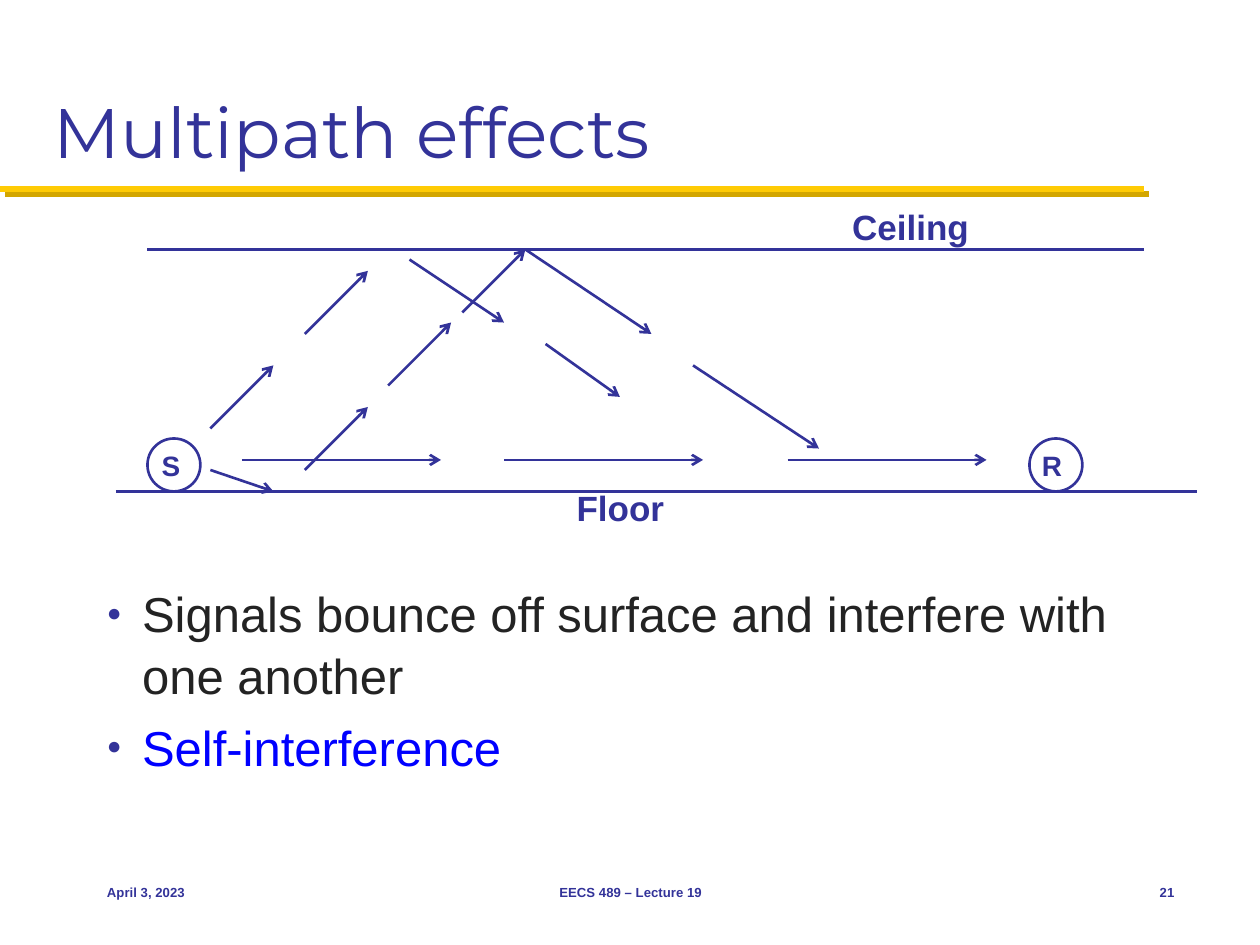
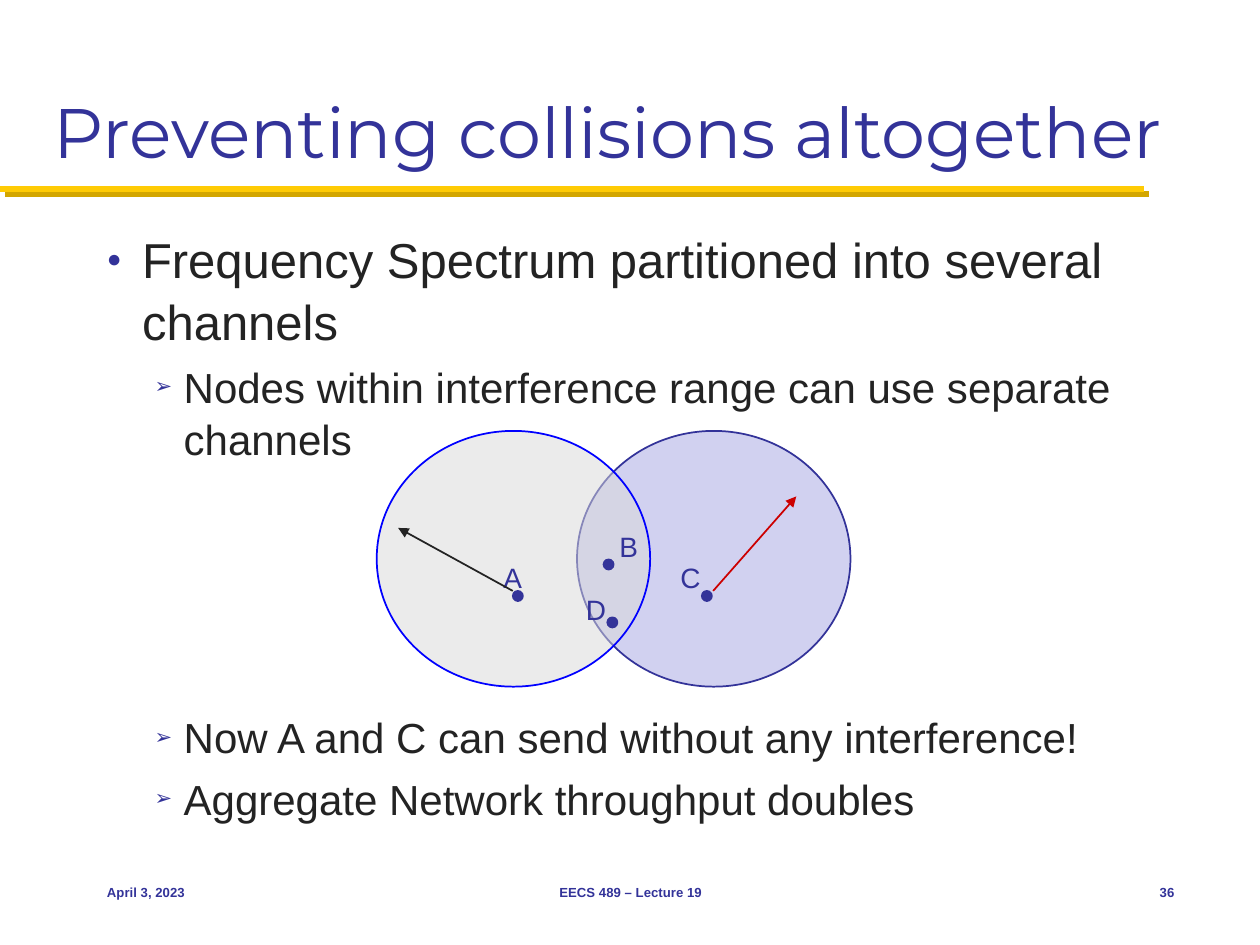
"""Build two wireless networking lecture slides: multipath effects and channel partitioning."""
from lxml.etree import SubElement
from pptx import Presentation
from pptx.dml.color import RGBColor
from pptx.enum.shapes import MSO_CONNECTOR as Connector, MSO_SHAPE as Shape
from pptx.enum.text import MSO_ANCHOR as Anchor, MSO_AUTO_SIZE as AutoSize, PP_ALIGN as Align
from pptx.oxml.ns import qn
from pptx.util import Inches, Pt

NAVY, INK, BLUE, RED = "333399", "232323", "0000FF", "CC0000"
GOLD, DARK_GOLD, LILAC, GREY = "FFCB05", "D3A600", "D1D1F0", "D9D9D9"
BODY_FONT, TITLE_FONT = "Arial", "Montserrat"
LEVELS = [
    {"size": 28, "bullet": "●", "margin": 0.28, "indent": 0.28},
    {"size": 24, "bullet": "➢", "margin": 0.61, "indent": 0.23},
]
FOOTER_DATE, FOOTER_COURSE = "April 3, 2023", "EECS 489 – Lecture 19"

MULTIPATH = {
    "title": "Multipath effects",
    "number": "21",
    "body_top": 4.56,
    "points": [
        {"text": "Signals bounce off surface and interfere with one another"},
        {"text": "Self-interference", "color": BLUE},
    ],
}
STATIONS = [("S", 1.17), ("R", 8.17)]
STATION_TOP, STATION_SIZE = 3.48, 0.42
CEILING, FLOOR, DIRECT = 1.98, 3.9, 3.65
SURFACES = [((0.92, FLOOR), (9.5, FLOOR)), ((1.17, CEILING), (9.08, CEILING))]
SURFACE_LABELS = [("Ceiling", (6.65, 1.58, 1.14, 0.44)), ("Floor", (4.47, 3.81, 0.9, 0.44))]
DIRECT_STARTS, DIRECT_LENGTH = [1.92, 4, 6.25], 1.58
RISING_STARTS, RISE = [(1.67, 3.4), (2.42, 2.65), (2.42, 3.73), (3.08, 3.06), (3.67, 2.48)], 0.5
FALLING_HOPS = [
    ((1.67, 3.73), (2.17, FLOOR)),
    ((3.25, 2.06), (4, 2.56)),
    ((4.33, 2.73), (4.92, 3.15)),
    ((4.17, CEILING), (5.17, 2.65)),
    ((5.5, 2.9), (6.5, 3.56)),
]

CHANNELS = {
    "title": "Preventing collisions altogether",
    "number": "36",
    "body_top": 1.75,
    "points": [
        {"text": "Frequency Spectrum partitioned into several channels"},
        {"text": "Nodes within interference range can use separate channels", "level": 1},
        {"text": "Now A and C can send without any interference!", "level": 1, "before": 140},
        {"text": "Aggregate Network throughput doubles", "level": 1},
    ],
}
RANGES = [(4.58, LILAC, NAVY, None), (2.99, GREY, BLUE, 50)]
RANGE_TOP, RANGE_WIDTH, RANGE_HEIGHT = 3.42, 2.17, 2.03
NODES = [
    ("A", (4.07, 4.69), (3.89, 4.4)),
    ("B", (4.79, 4.44), (4.81, 4.15)),
    ("C", (5.57, 4.69), (5.3, 4.4)),
    ("D", (4.82, 4.9), (4.55, 4.65)),
]
DOT_SIZE, NODE_LABEL_SIZE = 0.08, 0.36
RADII = [((5.66, 4.69), (6.32, 3.94), RED), ((4.07, 4.69), (3.16, 4.19), INK)]


def rgb(color):
    return RGBColor.from_string(color)


def style(paragraph, size, color=NAVY, bold=False, align=Align.LEFT, font=BODY_FONT):
    paragraph.alignment = align
    paragraph.font.name, paragraph.font.size = font, Pt(size)
    paragraph.font.bold, paragraph.font.color.rgb = bold, rgb(color)


def add_text(shapes, text, box, anchor=Anchor.TOP, grow=False, **font):
    shape = shapes.add_textbox(*map(Inches, box))
    frame = shape.text_frame
    frame.text = text
    frame.word_wrap = not grow
    frame.auto_size = AutoSize.SHAPE_TO_FIT_TEXT if grow else AutoSize.NONE
    frame.vertical_anchor = anchor
    style(frame.paragraphs[0], **font)


def add_line(shapes, start, end, color=NAVY, width=1.5, head=None):
    connector = shapes.add_connector(Connector.STRAIGHT, *map(Inches, (*start, *end)))
    connector.line.color.rgb = rgb(color)
    connector.line.width = Pt(width)
    properties = connector._element.spPr
    if head:
        SubElement(properties.find(qn("a:ln")), qn("a:tailEnd"), type=head)
    return SubElement(properties, qn("a:effectLst"))


def add_ellipse(shapes, box, fill=None, line=NAVY, width=1, alpha=None):
    shape = shapes.add_shape(Shape.OVAL, *map(Inches, box))
    shape.shadow.inherit = False
    shape.line.color.rgb, shape.line.width = rgb(line), Pt(width)
    if fill:
        shape.fill.solid()
        shape.fill.fore_color.rgb = rgb(fill)
    else:
        shape.fill.background()
    if alpha:
        color = shape._element.spPr.find(qn("a:solidFill"))[0]
        SubElement(color, qn("a:alpha"), val=str(alpha * 1000))
    return shape


def add_title_rule(shapes):
    effects = add_line(shapes, (0, 1.5), (9.08, 1.5), GOLD, 3.5)
    shadow = SubElement(effects, qn("a:outerShdw"), blurRad="0", dist=str(Pt(4.2)),
                        dir=str(45 * 60000), algn="ctr", rotWithShape="0")
    SubElement(shadow, qn("a:srgbClr"), val=DARK_GOLD)


def add_body(shapes, points, top):
    frame = shapes.add_textbox(*map(Inches, (0.75, top, 8.67, 6.58 - top))).text_frame
    frame.word_wrap = True
    for index, point in enumerate(points):
        paragraph = frame.add_paragraph() if index else frame.paragraphs[0]
        paragraph.text = point["text"]
        paragraph.level = point.get("level", 0)
        level = LEVELS[paragraph.level]
        style(paragraph, level["size"], point.get("color", INK))
        paragraph.line_spacing = 1.05
        paragraph.space_before = Pt(point.get("before", level["size"] * 0.2))
        properties = paragraph._p.get_or_add_pPr()
        properties.set("marL", str(Inches(level["margin"])))
        properties.set("indent", str(-Inches(level["indent"])))
        defaults = properties.find(qn("a:defRPr"))
        color = SubElement(properties, qn("a:buClr"))
        SubElement(color, qn("a:srgbClr"), val=NAVY)
        SubElement(properties, qn("a:buSzPct"), val="50000")
        SubElement(properties, qn("a:buFont"), typeface=BODY_FONT)
        SubElement(properties, qn("a:buChar"), char=level["bullet"])
        properties.append(defaults)


def add_slide(presentation, content):
    shapes = presentation.slides.add_slide(presentation.slide_layouts[6]).shapes
    add_title_rule(shapes)
    add_text(shapes, content["title"], (0.33, 0.17, 9.33, 1.25), Anchor.BOTTOM,
             size=40, font=TITLE_FONT)
    add_body(shapes, content["points"], content["body_top"])
    footers = [
        (FOOTER_DATE, 0.75, 2.08, Align.LEFT),
        (FOOTER_COURSE, 3.42, 3.17, Align.CENTER),
        (content["number"], 8.75, 0.67, Align.RIGHT),
    ]
    for text, left, width, align in footers:
        add_text(shapes, text, (left, 6.83, width, 0.5), Anchor.MIDDLE,
                 size=7.5, bold=True, align=align)
    return shapes


def draw_multipath(shapes):
    for name, left in STATIONS:
        box = (left, STATION_TOP, STATION_SIZE, STATION_SIZE)
        frame = add_ellipse(shapes, box, width=1.5).text_frame
        frame.text = name
        frame.word_wrap = False
        frame.vertical_anchor = Anchor.MIDDLE
        style(frame.paragraphs[0], 16, bold=True, align=Align.RIGHT)
    for start, end in SURFACES:
        add_line(shapes, start, end)
    direct = [((x, DIRECT), (x + DIRECT_LENGTH, DIRECT)) for x in DIRECT_STARTS]
    rising = [((x, y), (x + RISE, y - RISE)) for x, y in RISING_STARTS]
    for start, end in direct + rising + FALLING_HOPS:
        add_line(shapes, start, end, head="arrow")
    for text, box in SURFACE_LABELS:
        add_text(shapes, text, box, grow=True, size=20, bold=True, align=Align.RIGHT)


def draw_channels(shapes):
    group = shapes.add_group_shape().shapes
    for left, fill, line, alpha in RANGES:
        add_ellipse(group, (left, RANGE_TOP, RANGE_WIDTH, RANGE_HEIGHT), fill, line, alpha=alpha)
    for name, dot, label in NODES:
        add_ellipse(group, (*dot, DOT_SIZE, DOT_SIZE), NAVY)
        add_text(group, name, (*label, NODE_LABEL_SIZE, NODE_LABEL_SIZE), grow=True,
                 size=16, align=Align.CENTER)
    for start, end, color in RADII:
        add_line(group, start, end, color, 1, "triangle")


presentation = Presentation()
presentation.slide_width, presentation.slide_height = Inches(10), Inches(7.5)
draw_multipath(add_slide(presentation, MULTIPATH))
draw_channels(add_slide(presentation, CHANNELS))
presentation.save("out.pptx")
